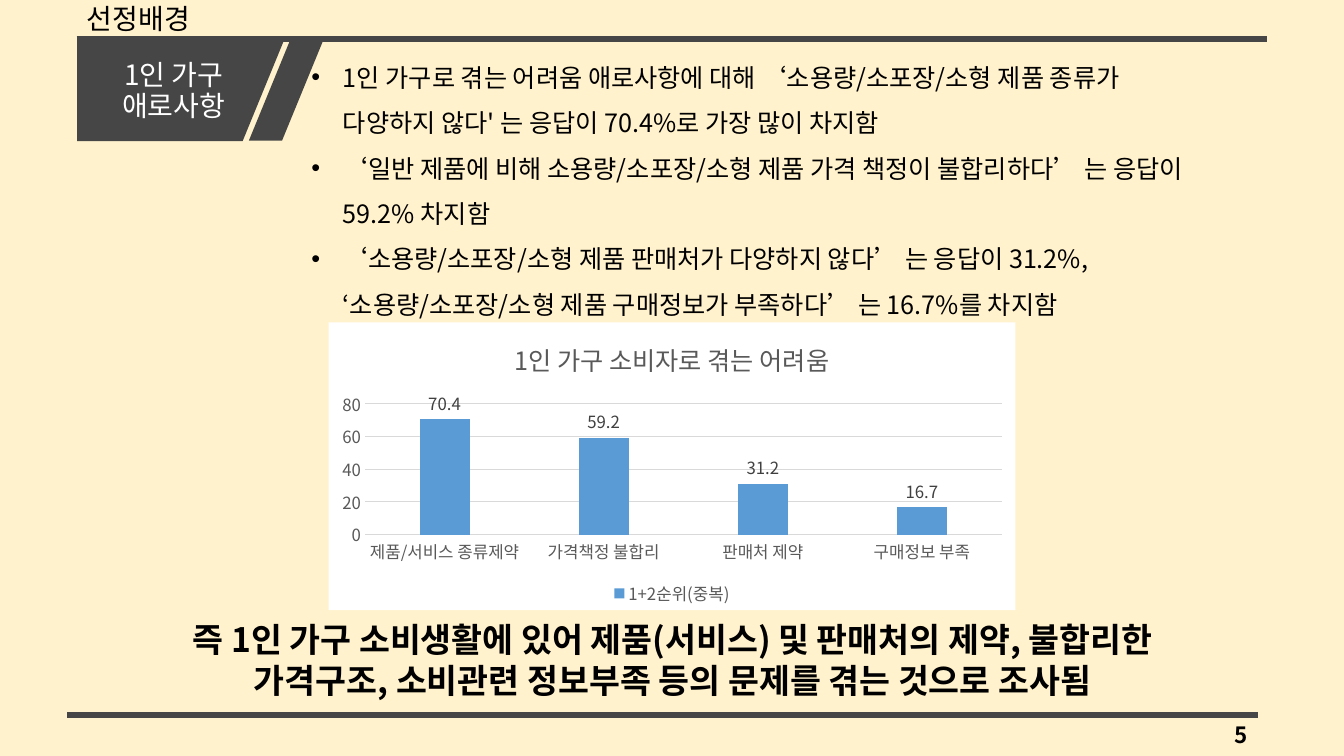
"""Build the slide on the difficulties of one-person households."""
from pptx import Presentation
from pptx.chart.data import CategoryChartData
from pptx.dml.color import RGBColor
from pptx.enum.chart import XL_CHART_TYPE, XL_LABEL_POSITION, XL_LEGEND_POSITION, XL_TICK_MARK
from pptx.enum.shapes import MSO_CONNECTOR, MSO_SHAPE
from pptx.enum.text import MSO_ANCHOR, MSO_AUTO_SIZE, PP_ALIGN
from pptx.oxml.ns import qn
from pptx.util import Pt
from lxml.etree import SubElement

PX = 9525
FONT = "Noto Sans CJK KR"
CREAM = RGBColor(0xFF, 0xF2, 0xCC)
CHARCOAL = RGBColor(0x46, 0x46, 0x46)
BLACK = RGBColor(0x00, 0x00, 0x00)
WHITE = RGBColor(0xFF, 0xFF, 0xFF)
GREY = RGBColor(0x59, 0x59, 0x59)
LABEL_GREY = RGBColor(0x40, 0x40, 0x40)
GRID_GREY = RGBColor(0xD9, 0xD9, 0xD9)
BLUE = RGBColor(0x5B, 0x9B, 0xD5)


def set_font(font, size, color, bold=False):
    font.name = FONT
    font.size = Pt(size)
    font.bold = bold
    font.color.rgb = color
    SubElement(font._element, qn("a:ea")).set("typeface", FONT)


def write(shape, box, paragraphs, size, color, bold=False, align=PP_ALIGN.LEFT,
          spacing=1.0, bullet=False, anchor=MSO_ANCHOR.TOP):
    shape.left, shape.top, shape.width, shape.height = [value * PX for value in box]
    frame = shape.text_frame
    frame.word_wrap = True
    frame.auto_size = MSO_AUTO_SIZE.NONE
    frame.vertical_anchor = anchor
    for index, lines in enumerate(paragraphs):
        paragraph = frame.add_paragraph() if index else frame.paragraphs[0]
        paragraph.alignment = align
        paragraph.line_spacing = spacing
        paragraph.space_before = Pt(0)
        properties = paragraph._p.get_or_add_pPr()
        indent = 30 * PX if bullet else 0
        properties.set("marL", str(indent))
        properties.set("indent", str(-indent))
        if bullet:
            SubElement(properties, qn("a:buFont")).set("typeface", "Arial")
            SubElement(properties, qn("a:buChar")).set("char", "•")
        else:
            SubElement(properties, qn("a:buNone"))
        for number, line in enumerate(lines.split("\n")):
            if number:
                paragraph.add_line_break()
            run = paragraph.add_run()
            run.text = line
            set_font(run.font, size, color, bold)


presentation = Presentation()
presentation.slide_width = 1280 * PX
presentation.slide_height = 720 * PX
slide = presentation.slides.add_slide(presentation.slide_layouts[3])
slide.background.fill.solid()
slide.background.fill.fore_color.rgb = CREAM
title, header, findings = slide.placeholders

for left, y in [(73, 37), (64, 681)]:
    rule = slide.shapes.add_connector(
        MSO_CONNECTOR.STRAIGHT, left * PX, y * PX, (left + 1134) * PX, y * PX)
    rule.line.color.rgb = CHARCOAL
    rule.line.width = Pt(4)
    SubElement(rule._element.spPr, qn("a:effectLst"))

banner = slide.shapes.add_shape(
    MSO_SHAPE.FLOWCHART_MANUAL_INPUT, 124 * PX, -12 * PX, 96 * PX, 197 * PX)
banner.rotation = 90
banner._element.spPr.find(qn("a:xfrm")).set("flipH", "1")
stripe = slide.shapes.add_shape(
    MSO_SHAPE.PARALLELOGRAM, 237 * PX, 38 * PX, 71 * PX, 96 * PX)
stripe.adjustments[0] = 0.555
for shape in (banner, stripe):
    shape.shadow.inherit = False
    shape.fill.solid()
    shape.fill.fore_color.rgb = CHARCOAL
    shape.line.fill.background()

slide.shapes._spTree.append(title._element)
write(title, (93, 18, 145, 139), ["1인 가구\n애로사항"], 20, WHITE,
      align=PP_ALIGN.CENTER, spacing=0.9, anchor=MSO_ANCHOR.MIDDLE)
write(header, (73, 0, 548, 36), ["선정배경"], 20, BLACK, spacing=0.9)
write(findings, (287, 40, 879, 272), [
    "1인 가구로 겪는 어려움 애로사항에 대해 ‘소용량/소포장/소형 제품 종류가 다양하지 않다' 는 응답이 70.4%로 가장 많이 차지함",
    "‘일반 제품에 비해 소용량/소포장/소형 제품 가격 책정이 불합리하다’ 는 응답이 59.2% 차지함",
    "‘소용량/소포장/소형 제품 판매처가 다양하지 않다’ 는 응답이 31.2%, ‘소용량/소포장/소형 제품 구매정보가 부족하다’ 는 16.7%를 차지함",
], 18, BLACK, spacing=1.5, bullet=True)
page_number = slide.shapes.add_textbox(0, 0, PX, PX)
write(page_number, (910, 682, 288, 38), ["5"], 16, BLACK, bold=True, align=PP_ALIGN.RIGHT)
conclusion = slide.shapes.add_textbox(0, 0, PX, PX)
write(conclusion, (121, 585, 1039, 116), [
    "즉 1인 가구 소비생활에 있어 제품(서비스) 및 판매처의 제약, 불합리한 가격구조, 소비관련 정보부족 등의 문제를 겪는 것으로 조사됨",
], 24, BLACK, bold=True, align=PP_ALIGN.CENTER)

data = CategoryChartData()
data.categories = ["제품/서비스 종류제약", "가격책정 불합리", "판매처 제약", "구매정보 부족"]
data.add_series("1+2순위(중복)", [70.4, 59.2, 31.2, 16.7])
chart = slide.shapes.add_chart(
    XL_CHART_TYPE.COLUMN_CLUSTERED, 313 * PX, 307 * PX, 654 * PX, 274 * PX, data).chart
set_font(chart.font, 10, BLACK)
chart_properties = SubElement(chart._chartSpace, qn("c:spPr"))
chart_fill = SubElement(chart_properties, qn("a:solidFill"))
SubElement(chart_fill, qn("a:srgbClr")).set("val", str(WHITE))
chart_border = SubElement(chart_properties, qn("a:ln"))
SubElement(chart_border, qn("a:noFill"))
chart._chartSpace.find(qn("c:chart")).addnext(chart_properties)

chart.has_title = True
chart_title = chart.chart_title.text_frame.paragraphs[0].add_run()
chart_title.text = "1인 가구 소비자로 겪는 어려움"
set_font(chart_title.font, 18, GREY)
chart.has_legend = True
chart.legend.position = XL_LEGEND_POSITION.BOTTOM
chart.legend.include_in_layout = False
set_font(chart.legend.font, 12, GREY)

category_axis, value_axis = chart.category_axis, chart.value_axis
for axis in (category_axis, value_axis):
    axis.major_tick_mark = XL_TICK_MARK.NONE
    axis.minor_tick_mark = XL_TICK_MARK.NONE
    set_font(axis.tick_labels.font, 12, GREY)
value_axis.minimum_scale = 0
value_axis.maximum_scale = 80
value_axis.major_unit = 20
value_axis.format.line.fill.background()
for line in (category_axis.format.line, value_axis.major_gridlines.format.line):
    line.color.rgb = GRID_GREY
    line.width = Pt(0.75)

plot = chart.plots[0]
plot.vary_by_categories = False
plot.gap_width = 219
plot.overlap = -27
series = plot.series[0]
series.format.fill.solid()
series.format.fill.fore_color.rgb = BLUE
labels = series.data_labels
labels.show_value = True
labels.position = XL_LABEL_POSITION.OUTSIDE_END
set_font(labels.font, 12, LABEL_GREY)

presentation.save("out.pptx")
